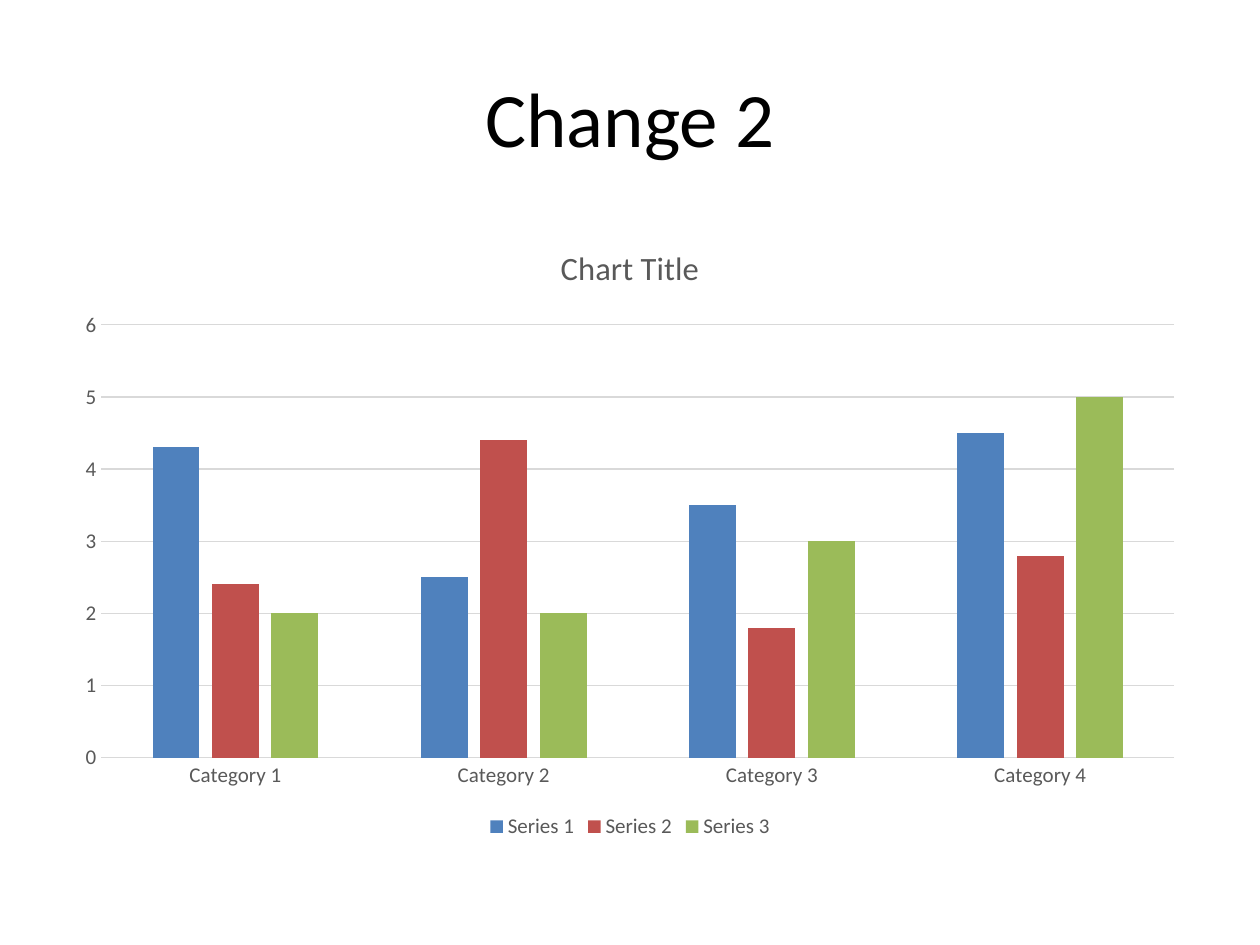
from pptx import Presentation
from pptx.chart.data import CategoryChartData
from pptx.dml.color import RGBColor
from pptx.enum.chart import XL_CHART_TYPE, XL_LEGEND_POSITION, XL_TICK_MARK
from pptx.enum.text import MSO_ANCHOR, PP_ALIGN
from pptx.util import Inches, Pt


def color(code):
    """Turn a hex string into a colour."""
    return RGBColor.from_string(code)


class Deck:
    """Holds the style and the current slide."""

    face = "Calibri"
    ink = "000000"
    gray = "595959"
    rule = "D9D9D9"
    fills = ("4F81BD", "C0504D", "9BBB59")

    def __init__(self, wide, high):
        """Start a deck with one title-only slide."""
        self.prs = Presentation()
        self.prs.slide_width = Inches(wide)
        self.prs.slide_height = Inches(high)
        self.slide = self.prs.slides.add_slide(self.prs.slide_layouts[5])

    def style(self, font, size, code):
        """Set face, size and colour of a font."""
        font.name = self.face
        font.size = Pt(size)
        font.bold = False
        font.color.rgb = color(code)

    def line(self, line):
        """Draw a thin gray chart line."""
        line.color.rgb = color(self.rule)
        line.width = Pt(0.75)

    def title(self, text, left, top, wide, high):
        """Place and fill the slide title."""
        box = self.slide.shapes.title
        box.left, box.top = Inches(left), Inches(top)
        box.width, box.height = Inches(wide), Inches(high)
        box.text_frame.vertical_anchor = MSO_ANCHOR.MIDDLE
        para = box.text_frame.paragraphs[0]
        para.alignment = PP_ALIGN.CENTER
        run = para.add_run()
        run.text = text
        self.style(run.font, 44, self.ink)

    def chart(self, head, cats, rows, left, top, wide, high):
        """Add a clustered column chart."""
        data = CategoryChartData()
        data.categories = cats
        for name, vals in rows.items():
            data.add_series(name, vals)
        chart = self.slide.shapes.add_chart(
            XL_CHART_TYPE.COLUMN_CLUSTERED, Inches(left), Inches(top),
            Inches(wide), Inches(high), data).chart
        self.style(chart.font, 10, self.ink)

        chart.has_title = True
        run = chart.chart_title.text_frame.paragraphs[0].add_run()
        run.text = head
        self.style(run.font, 18.6, self.gray)
        chart.chart_title.include_in_layout = False

        chart.has_legend = True
        chart.legend.position = XL_LEGEND_POSITION.BOTTOM
        chart.legend.include_in_layout = False
        self.style(chart.legend.font, 12, self.gray)

        for axis in (chart.category_axis, chart.value_axis):
            axis.major_tick_mark = XL_TICK_MARK.NONE
            axis.minor_tick_mark = XL_TICK_MARK.NONE
            self.style(axis.tick_labels.font, 12, self.gray)
        self.line(chart.category_axis.format.line)
        chart.value_axis.format.line.fill.background()
        chart.value_axis.has_major_gridlines = True
        self.line(chart.value_axis.major_gridlines.format.line)

        plot = chart.plots[0]
        plot.vary_by_categories = False
        plot.gap_width = 219
        plot.overlap = -27
        for row, code in zip(plot.series, self.fills):
            row.format.fill.solid()
            row.format.fill.fore_color.rgb = color(code)


deck = Deck(10, 7.5)
deck.title("Change 2", 0.5, 0.3, 9, 1.25)
deck.chart(
    "Chart Title",
    [f"Category {num}" for num in range(1, 5)],
    {
        "Series 1": (4.3, 2.5, 3.5, 4.5),
        "Series 2": (2.4, 4.4, 1.8, 2.8),
        "Series 3": (2, 2, 3, 5),
    },
    0.5, 1.75, 9, 4.95)
deck.prs.save("out.pptx")
